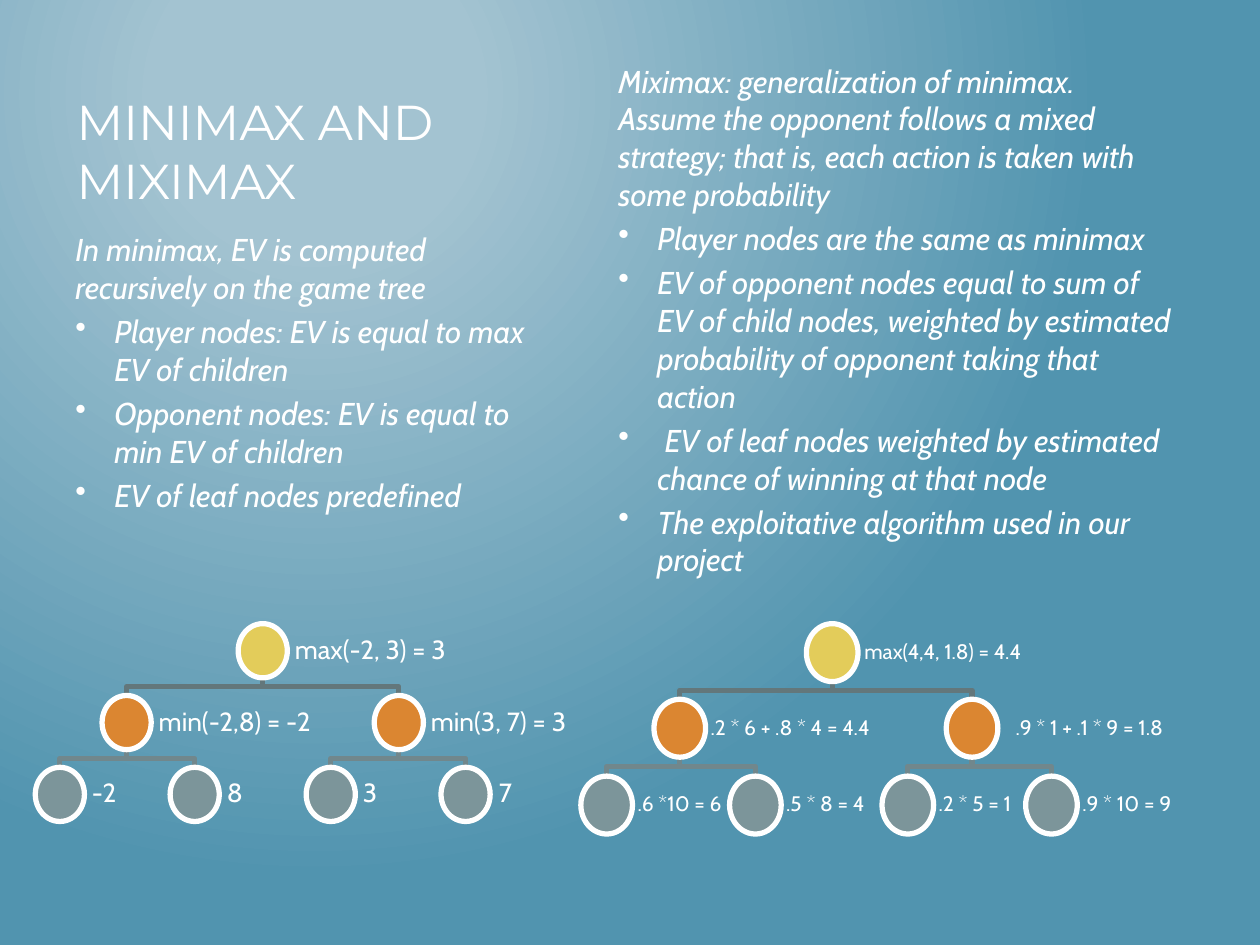
from lxml import etree
from pptx import Presentation
from pptx.dml.color import RGBColor
from pptx.enum.shapes import MSO_SHAPE
from pptx.enum.text import MSO_ANCHOR
from pptx.oxml.ns import qn
from pptx.util import Inches, Pt

ELLIPSE = MSO_SHAPE.OVAL
TOP, MIDDLE = MSO_ANCHOR.TOP, MSO_ANCHOR.MIDDLE

WHITE = RGBColor(0xFF, 0xFF, 0xFF)
LIGHT_BLUE = RGBColor(0xA3, 0xC3, 0xD1)
DEEP_BLUE = RGBColor(0x51, 0x94, 0xAF)
YELLOW = RGBColor(0xE3, 0xCC, 0x5A)
ORANGE = RGBColor(0xDB, 0x86, 0x31)
GREY = RGBColor(0x7C, 0x95, 0x9A)
UPPER_EDGE = RGBColor(0x63, 0x77, 0x7B)
LOWER_EDGE = RGBColor(0x71, 0x87, 0x8C)

NODE_COLORS = [YELLOW, ORANGE, GREY]
EDGE_COLORS = [UPPER_EDGE, LOWER_EDGE]

MINIMAX_INTRO = "In minimax, EV is computed recursively on the game tree"
MINIMAX_RULES = [
    "Player nodes: EV is equal to max EV of children",
    "Opponent nodes: EV is equal to min EV of children",
    "EV of leaf nodes predefined",
]
MIXIMAX_INTRO = (
    "Miximax: generalization of minimax. Assume the opponent follows a mixed "
    "strategy; that is, each action is taken with some probability"
)
MIXIMAX_RULES = [
    "Player nodes are the same as minimax",
    "EV of opponent nodes equal to sum of EV of child nodes, weighted by "
    "estimated probability of opponent taking that action",
    " EV of leaf nodes weighted by estimated chance of winning at that node",
    "The exploitative algorithm used in our project",
]

# Levels from root to leaves; each node: left, label, label left, label width
MINIMAX_TREE = [
    [(1.89, "max(-2, 3) = 3", 2.28, 2.71)],
    [(0.81, "min(-2,8) = -2", 1.2, 1.42), (2.97, "min(3, 7) = 3", 3.36, 1.47)],
    [(0.28, "-2", 0.67, 0.59), (1.35, "8", 1.74, 0.59),
     (2.43, "3", 2.82, 0.59), (3.5, "7", 3.9, 0.59)],
]
MIXIMAX_TREE = [
    [(6.4, "max(4,4, 1.8) = 4.4", 6.82, 1.53)],
    [(5.19, ".2 * 6 + .8 * 4 = 4.4", 5.6, 1.4),
     (7.51, ".9 * 1 + .1 * 9 = 1.8", 8.02, 1.39)],
    [(4.61, ".6 *10 = 6", 5.02, 0.84), (5.79, ".5 * 8 = 4", 6.2, 0.8),
     (7, ".2 * 5 = 1", 7.41, 0.72), (8.14, ".9 * 10 = 9", 8.55, 0.86)],
]


class Deck:
    """Text and line style together with the current slide."""

    heading_font = "Montserrat"
    body_font = "Cabin"
    line_width = Pt(3)

    def __init__(self, slide):
        self.slide = slide

    def background(self, inner, outer):
        fill = self.slide.background.fill
        fill.gradient()
        for stop, color, position in zip(fill.gradient_stops, (inner, outer), (0.2, 1)):
            stop.color.rgb = color
            stop.position = position
        gradient = self.slide.element.find(".//" + qn("a:gradFill"))
        gradient.remove(gradient.find(qn("a:lin")))
        path = etree.SubElement(gradient, qn("a:path"), path="circle")
        etree.SubElement(path, qn("a:fillToRect"),
                         l="50000", t="20000", r="100000", b="100000")

    def frame(self, left, top, width, height, anchor=TOP):
        box = self.slide.shapes.add_textbox(
            Inches(left), Inches(top), Inches(width), Inches(height))
        box.text_frame.word_wrap = True
        box.text_frame.vertical_anchor = anchor
        return box.text_frame

    def style(self, paragraph, text, size, font, italic=False):
        paragraph.text = text
        paragraph.font.size = Pt(size)
        paragraph.font.name = font
        paragraph.font.italic = italic
        paragraph.font.color.rgb = WHITE

    def title(self, text, *place):
        self.style(self.frame(*place).paragraphs[0], text, 28, self.heading_font)

    def body(self, intro, rules, *place):
        frame = self.frame(*place)
        self.style(frame.paragraphs[0], intro, 18, self.body_font, italic=True)
        for rule in rules:
            paragraph = frame.add_paragraph()
            properties = paragraph._p.get_or_add_pPr()
            properties.set("marL", str(Inches(0.31)))
            properties.set("indent", str(-Inches(0.31)))
            etree.SubElement(properties, qn("a:buChar"), char="•")
            paragraph.space_before = Pt(3.6)
            self.style(paragraph, rule, 18, self.body_font, italic=True)

    def label(self, text, size, inset, *place):
        frame = self.frame(*place, anchor=MIDDLE)
        frame.margin_left = frame.margin_right = Inches(inset)
        frame.margin_top = frame.margin_bottom = Inches(inset)
        frame.paragraphs[0].line_spacing = 0.9
        self.style(frame.paragraphs[0], text, size, self.body_font)

    def node(self, color, left, top, width, height):
        circle = self.slide.shapes.add_shape(
            ELLIPSE, Inches(left), Inches(top), Inches(width), Inches(height))
        circle.shadow.inherit = False
        circle.fill.solid()
        circle.fill.fore_color.rgb = color
        circle.line.color.rgb = WHITE
        circle.line.width = self.line_width

    def edge(self, color, x1, y1, x2, y2):
        middle = (y1 + y2) / 2
        builder = self.slide.shapes.build_freeform(Inches(x1), Inches(y1))
        bends = [(x1, middle), (x2, middle), (x2, y2)]
        builder.add_line_segments([(Inches(x), Inches(y)) for x, y in bends], close=False)
        elbow = builder.convert_to_shape()
        elbow.shadow.inherit = False
        elbow.fill.background()
        elbow.line.color.rgb = color
        elbow.line.width = self.line_width

    def tree(self, levels, tops, width, height, size, inset):
        # Edges lie behind the nodes; every parent has two children
        for depth, color in reversed(list(enumerate(EDGE_COLORS))):
            for index, child in enumerate(levels[depth + 1]):
                parent = levels[depth][index // 2]
                self.edge(color, parent[0] + width / 2, tops[depth] + height,
                          child[0] + width / 2, tops[depth + 1])
        for level, top, color in zip(levels, tops, NODE_COLORS):
            for left, text, label_left, label_width in level:
                self.node(color, left, top, width, height)
                self.label(text, size, inset, label_left, top, label_width, height)


def main():
    presentation = Presentation()
    presentation.slide_width = Inches(10)
    presentation.slide_height = Inches(7.5)
    deck = Deck(presentation.slides.add_slide(presentation.slide_layouts[6]))
    deck.background(LIGHT_BLUE, DEEP_BLUE)

    # Left: minimax
    deck.title("MINIMAX AND MIXIMAX", 0.51, 0.68, 3.95, 1.17)
    deck.body(MINIMAX_INTRO, MINIMAX_RULES, 0.5, 1.78, 3.98, 2.68)
    deck.tree(MINIMAX_TREE, [4.95, 5.52, 6.09], 0.39, 0.43, size=15, inset=0.06)

    # Right: miximax
    deck.body(MIXIMAX_INTRO, MIXIMAX_RULES, 4.81, 0.44, 4.59, 4.33)
    deck.tree(MIXIMAX_TREE, [4.95, 5.55, 6.16], 0.41, 0.46, size=12, inset=0.04)

    presentation.save("out.pptx")


if __name__ == "__main__":
    main()
